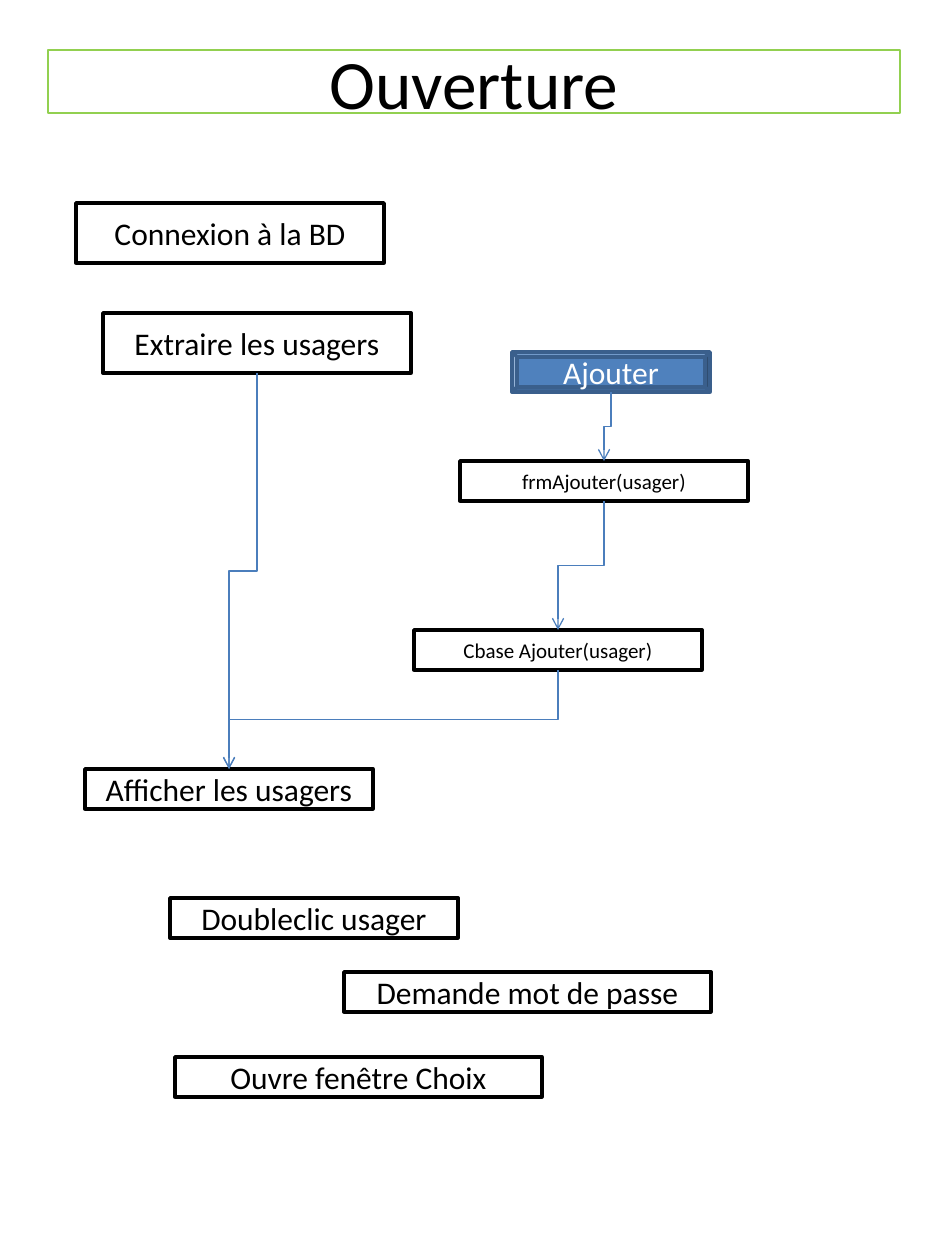
from lxml.etree import SubElement
from pptx import Presentation
from pptx.dml.color import RGBColor
from pptx.enum.shapes import MSO_CONNECTOR, MSO_SHAPE
from pptx.enum.text import MSO_ANCHOR, PP_ALIGN
from pptx.oxml.ns import qn
from pptx.util import Pt

PX = 914400 / 126
INK = {"black": "000000", "white": "FFFFFF", "blue": "4F81BD",
       "edge": "3A5F8C", "link": "4B7EBC", "green": "92D050"}


def emu(px):
    return round(px * PX)


def style(shape, text, size, font, edge, width):
    shape.line.color.rgb = RGBColor.from_string(INK[edge])
    shape.line.width = Pt(width)
    frame = shape.text_frame
    frame.text = text
    frame.word_wrap = True
    frame.vertical_anchor = MSO_ANCHOR.MIDDLE
    para = frame.paragraphs[0]
    para.alignment = PP_ALIGN.CENTER
    run = para.runs[0].font
    run.name, run.size = "Calibri", Pt(size)
    run.color.rgb = RGBColor.from_string(INK[font])


deck = Presentation()
deck.slide_width, deck.slide_height = emu(945), emu(1260)
slide = deck.slides.add_slide(deck.slide_layouts[5])

# Title
title = slide.shapes.title
title.left, title.top, title.width, title.height = map(emu, (48, 50, 852, 63))
style(title, "Ouverture", 39.6, "black", "green", 0.75)

# Steps: key, text, left, top, width, height, text size
steps = [
    ("open", "Connexion à la BD", 76, 203, 308, 60, 18),
    ("load", "Extraire les usagers", 103, 313, 308, 60, 18),
    ("show", "Afficher les usagers", 85, 769, 288, 40, 18),
    ("add", "Ajouter", 512, 352, 198, 40, 18),
    ("base", "Cbase Ajouter(usager)", 414, 630, 288, 40, 12),
    ("form", "frmAjouter(usager)", 460, 461, 288, 40, 12),
    ("click", "Doubleclic usager", 170, 898, 288, 40, 18),
    ("pass", "Demande mot de passe", 344, 972, 367, 40, 18),
    ("pick", "Ouvre fenêtre Choix", 175, 1057, 367, 40, 18),
]
boxes = {}
for key, text, left, top, width, height, size in steps:
    button = key == "add"
    kind = MSO_SHAPE.BEVEL if button else MSO_SHAPE.RECTANGLE
    box = slide.shapes.add_shape(kind, *map(emu, (left, top, width, height)))
    box.shadow.inherit = False
    if button:
        box.fill.solid()
        box.fill.fore_color.rgb = RGBColor.from_string(INK["blue"])
        style(box, text, size, "white", "edge", 2)
    else:
        box.fill.background()
        style(box, text, size, "black", "black", 2)
    boxes[key] = box

# Elbow arrows from the bottom of one step to the top of the next
for start, end in [("load", "show"), ("add", "form"),
                   ("base", "show"), ("form", "base")]:
    link = slide.shapes.add_connector(MSO_CONNECTOR.ELBOW, 0, 0, 0, 0)
    link.begin_connect(boxes[start], 2)
    link.end_connect(boxes[end], 0)
    wide = link.begin_x - link.end_x
    tall = link.end_y - link.begin_y
    mid_x = (link.begin_x + link.end_x) // 2
    mid_y = (link.begin_y + link.end_y) // 2

    # A quarter turn makes the elbow leave downwards
    props = link._element.spPr
    frame = props.find(qn("a:xfrm"))
    frame.set("rot", "5400000")
    frame.set("flipH", "0")
    frame.set("flipV", "0")
    link.left, link.top = mid_x - tall // 2, mid_y - wide // 2
    link.width, link.height = tall, wide

    link.line.color.rgb = RGBColor.from_string(INK["link"])
    link.line.width = Pt(0.75)
    SubElement(props.find(qn("a:ln")), qn("a:tailEnd"), type="arrow")
    SubElement(props, qn("a:effectLst"))

deck.save("out.pptx")
